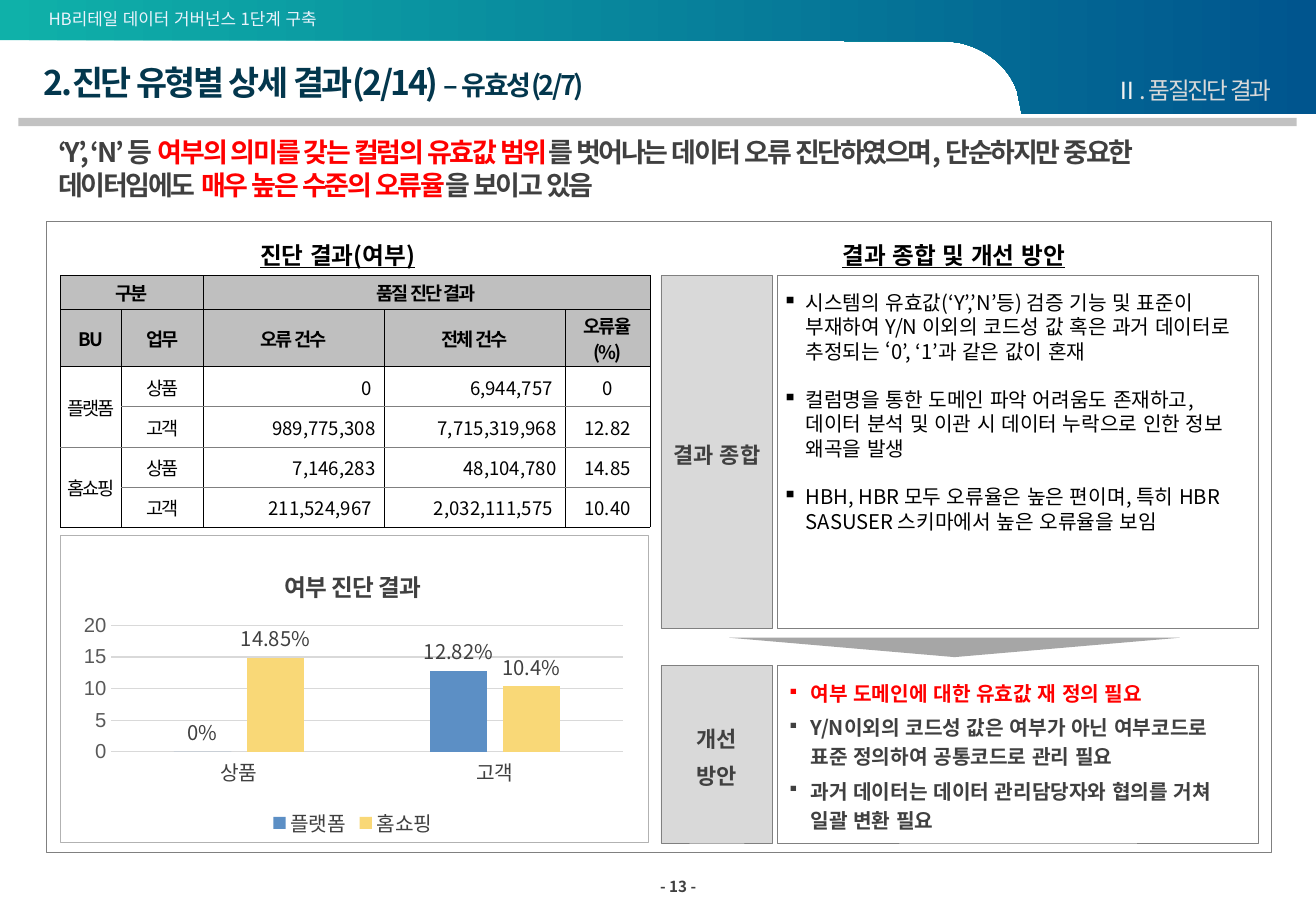
from dataclasses import dataclass

from lxml import etree
from pptx import Presentation
from pptx.chart.data import CategoryChartData
from pptx.dml.color import RGBColor
from pptx.enum.chart import XL_CHART_TYPE, XL_LABEL_POSITION, XL_LEGEND_POSITION, XL_TICK_MARK
from pptx.enum.shapes import MSO_SHAPE
from pptx.enum.text import MSO_ANCHOR, MSO_AUTO_SIZE, PP_ALIGN
from pptx.oxml.ns import qn
from pptx.util import Inches, Pt

RECTANGLE, TRIANGLE = MSO_SHAPE.RECTANGLE, MSO_SHAPE.ISOSCELES_TRIANGLE
LEFT, CENTER, RIGHT = PP_ALIGN.LEFT, PP_ALIGN.CENTER, PP_ALIGN.RIGHT
TOP, MIDDLE, BOTTOM = MSO_ANCHOR.TOP, MSO_ANCHOR.MIDDLE, MSO_ANCHOR.BOTTOM
NO_TICK = XL_TICK_MARK.NONE
TITLE_ONLY = 5


@dataclass(frozen=True)
class Theme:
    font: str = "Noto Sans CJK KR"
    number_font: str = "Arial"
    black: str = "000000"
    white: str = "FFFFFF"
    dark: str = "404040"
    axis: str = "595959"
    gray: str = "808080"
    arrow: str = "A6A6A6"
    panel: str = "B2B2B2"
    header: str = "BFBFBF"
    rule: str = "C2C2C2"
    label: str = "D9D9D9"
    pale: str = "F2F2F2"
    pale_blue: str = "EAF3FC"
    navy: str = "03374D"
    red: str = "FF0000"
    band: tuple = ("0FB1A9", "00558E")
    series: tuple = ("5C8FC5", "F9D877")
    title: int = 20
    lead: int = 16
    heading: int = 14
    side: int = 13
    body: int = 12
    cell: int = 11
    small: int = 10
    page: int = 9


THEME = Theme()


def rgb(color):
    return RGBColor.from_string(color)


def add_run(paragraph, text, size=THEME.body, color=THEME.black, bold=False, underline=False, spacing=0):
    run = paragraph.add_run()
    run.text = text
    style_font(run.font, size, color)
    run.font.bold, run.font.underline = bold, underline
    properties = run._r.get_or_add_rPr()
    properties.set("lang", "ko-KR")
    properties.set("spc", str(round(spacing * 100)))
    etree.SubElement(properties, qn("a:ea"), typeface=THEME.font)


def style_font(font, size, color, name=THEME.font):
    font.name, font.size, font.bold = name, Pt(size), False
    font.color.rgb = rgb(color)


class SlideBuilder:
    """Boxes are (left, top, width, height) in percent of the slide."""

    def __init__(self, presentation):
        self.width, self.height = presentation.slide_width, presentation.slide_height
        self.slide = presentation.slides.add_slide(presentation.slide_layouts[TITLE_ONLY])
        self.shapes = self.slide.shapes

    def place(self, left, top, width, height):
        return [round(share * side / 100) for share, side in
                ((left, self.width), (top, self.height), (width, self.width), (height, self.height))]

    def fill_text(self, frame, paragraphs, align=LEFT, anchor=TOP, insets=(0.1, 0.05), wrap=True,
                  line_spacing=None, gap=0, bullet_size=None, **style):
        """Each paragraph is a string or a list of (text, overrides)."""
        frame.auto_size, frame.word_wrap, frame.vertical_anchor = MSO_AUTO_SIZE.NONE, wrap, anchor
        frame.margin_left = frame.margin_right = Inches(insets[0])
        frame.margin_top = frame.margin_bottom = Inches(insets[1])
        for index, runs in enumerate(paragraphs):
            paragraph = frame.add_paragraph() if index else frame.paragraphs[0]
            paragraph.alignment = align
            if line_spacing:
                paragraph.line_spacing = line_spacing
            paragraph.space_before = Pt(gap if index else 0)
            if bullet_size:
                properties = paragraph._p.get_or_add_pPr()
                properties.set("marL", str(Inches(0.19)))
                properties.set("indent", str(-Inches(0.19)))
                etree.SubElement(properties, qn("a:buSzPct"), val=str(bullet_size * 1000))
                etree.SubElement(properties, qn("a:buChar"), char="▪")
            for text, overrides in [(runs, {})] if isinstance(runs, str) else runs:
                add_run(paragraph, text, **{**style, **overrides})

    def title(self, box, paragraphs, **style):
        title = self.shapes.title
        title.left, title.top, title.width, title.height = self.place(*box)
        self.fill_text(title.text_frame, paragraphs, **style)

    def text(self, box, paragraphs, **style):
        self.fill_text(self.shapes.add_textbox(*self.place(*box)).text_frame, paragraphs, **style)

    def shape(self, box, fill=None, line=None, line_width=0.5, kind=RECTANGLE, rotation=0, paragraphs=(), **style):
        shape = self.shapes.add_shape(kind, *self.place(*box))
        shape.shadow.inherit = False
        shape.rotation = rotation
        if fill:
            shape.fill.solid()
            shape.fill.fore_color.rgb = rgb(fill)
        else:
            shape.fill.background()
        if line:
            shape.line.color.rgb, shape.line.width = rgb(line), Pt(line_width)
        else:
            shape.line.fill.background()
        self.fill_text(shape.text_frame, paragraphs, **style)

    def band(self, points, colors):
        corners = [tuple(self.place(x, y, 0, 0)[:2]) for x, y in points]
        builder = self.shapes.build_freeform(*corners[0])
        builder.add_line_segments(corners[1:])
        shape = builder.convert_to_shape()
        shape.shadow.inherit = False
        shape.line.fill.background()
        shape.fill.gradient()
        shape.fill.gradient_angle = 0
        for stop, color, position in zip(shape.fill.gradient_stops, colors, (0, 1)):
            stop.color.rgb, stop.position = rgb(color), position

    def table(self, box, widths, heights, rows, merges, header_rows):
        table = self.shapes.add_table(len(rows), len(widths), *self.place(*box)).table
        table.first_row = table.horz_banding = False
        for column, width in zip(table.columns, widths):
            column.width = Inches(width)
        for row, height in zip(table.rows, heights):
            row.height = Inches(height)
        for first, last in merges:
            table.cell(*first).merge(table.cell(*last))
        for r, row in enumerate(rows):
            for c, text in enumerate(row):
                cell = table.cell(r, c)
                if cell.is_spanned:
                    continue
                header, number = r < header_rows, c >= 2
                if header:
                    cell.fill.solid()
                    cell.fill.fore_color.rgb = rgb(THEME.header)
                else:
                    cell.fill.background()
                cell.vertical_anchor = MIDDLE
                cell.margin_top = cell.margin_bottom = 0
                side = 0 if not header and c == 0 else 0.07 if number and r in (3, 4) else 0.1
                cell.margin_left = cell.margin_right = Inches(side)
                paragraph = cell.text_frame.paragraphs[0]
                paragraph.alignment = RIGHT if not header and c in (2, 3) else CENTER
                add_run(paragraph, text, size=THEME.cell, bold=header, spacing=0 if number and not header else -1.2)
                edges = {"L": 0, "R": 0, "T": r, "B": r + cell.span_height}
                for index, (edge, position) in enumerate(edges.items()):
                    inner = header_rows < position < len(rows)
                    line = etree.Element(qn(f"a:ln{edge}"), w=str(Pt(0.5)))
                    fill = etree.SubElement(line, qn("a:solidFill"))
                    etree.SubElement(fill, qn("a:srgbClr"), val=THEME.gray if inner else THEME.black)
                    cell._tc.get_or_add_tcPr().insert(index, line)

    def chart(self, box, title, categories, series, plot_box):
        data = CategoryChartData(number_format='General"%"')
        data.categories = categories
        for name, values in series:
            data.add_series(name, values)
        chart = self.shapes.add_chart(XL_CHART_TYPE.COLUMN_CLUSTERED, *self.place(*box), data).chart
        style_font(chart.font, THEME.small, THEME.black, THEME.number_font)
        add_run(chart.chart_title.text_frame.paragraphs[0], title, size=THEME.heading, color=THEME.dark,
                bold=True, spacing=-0.8)
        chart.chart_title.include_in_layout = False
        chart.has_legend = True
        chart.legend.position, chart.legend.include_in_layout = XL_LEGEND_POSITION.BOTTOM, False
        style_font(chart.legend.font, THEME.body, THEME.dark)
        plot = chart.plots[0]
        plot.gap_width, plot.overlap, plot.vary_by_categories = 219, -27, False
        for item, color in zip(plot.series, THEME.series):
            item.format.fill.solid()
            item.format.fill.fore_color.rgb = rgb(color)
            labels = item.data_labels
            labels.show_value, labels.position = True, XL_LABEL_POSITION.OUTSIDE_END
            labels.number_format, labels.number_format_is_linked = 'General"%"', False
            style_font(labels.font, THEME.body, THEME.dark)
        category, value = chart.category_axis, chart.value_axis
        category.major_tick_mark = value.major_tick_mark = NO_TICK
        style_font(category.tick_labels.font, THEME.body, THEME.dark)
        style_font(value.tick_labels.font, THEME.body, THEME.axis, THEME.number_font)
        value.tick_labels.number_format, value.tick_labels.number_format_is_linked = "General", False
        value.minimum_scale, value.maximum_scale, value.major_unit = 0, 20, 5
        value.format.line.fill.background()
        for line in (category.format.line, value.major_gridlines.format.line):
            line.color.rgb, line.width = rgb(THEME.label), Pt(0.75)
        # Fixed plot area
        area = chart._chartSpace.find(".//" + qn("c:plotArea"))
        for layout in area.findall(qn("c:layout")):
            area.remove(layout)
        layout = etree.Element(qn("c:layout"))
        manual = etree.SubElement(layout, qn("c:manualLayout"))
        settings = {"layoutTarget": "inner", "xMode": "edge", "yMode": "edge", **dict(zip("xywh", plot_box))}
        for name, setting in settings.items():
            etree.SubElement(manual, qn(f"c:{name}"), val=str(setting))
        area.insert(0, layout)


def bezier(points, steps=16):
    for step in range(steps + 1):
        t = step / steps
        weights = ((1 - t) ** 3, 3 * t * (1 - t) ** 2, 3 * t * t * (1 - t), t ** 3)
        yield tuple(sum(w * point[axis] for w, point in zip(weights, points)) for axis in (0, 1))


def main():
    presentation = Presentation()
    presentation.slide_width, presentation.slide_height = Inches(10.83), Inches(7.5)
    page = SlideBuilder(presentation)
    red, dark = {"color": THEME.red}, {"color": THEME.dark}

    # Header band, title and page number
    curve = bezier([(77.29, 10), (76.64, 7.33), (74.98, 5.33), (72.85, 4.67)])
    page.band([(0, 0), (100, 0), (100, 12.53), (77.65, 12.53), *curve, (71.93, 4.53), (31.95, 4.4), (0, 4.4)],
              THEME.band)
    page.shape((1.39, 12.93, 97.14, 0.93), fill=THEME.rule)
    page.text((3.69, 0.93, 29.73, 2.27), ["HB리테일 데이터 거버넌스 1단계 구축"], anchor=MIDDLE, insets=(0, 0),
              size=THEME.small, color=THEME.pale_blue)
    page.title((3.32, 7.33, 86.24, 4), [[("2.진단 유형별 상세 결과(2/14) ", {}), ("– 유효성(2/7)", {"size": THEME.lead})]],
               anchor=MIDDLE, insets=(0, 0), line_spacing=0.9, size=THEME.title, color=THEME.navy, bold=True, spacing=-1.5)
    page.text((74.52, 8.27, 22.07, 3.2), [[("Ⅱ", {"color": THEME.pale}), (". 품질진단 결과", {})]], align=RIGHT,
              anchor=BOTTOM, insets=(0, 0), size=THEME.heading, color=THEME.label, spacing=-1.5)
    page.text((48.75, 95.73, 4.89, 3.07), ["- 13 -"], align=RIGHT, anchor=MIDDLE, insets=(0.08, 0.04), wrap=False,
              size=THEME.page, bold=True, **dark)

    # Key message
    page.text((3.51, 14.27, 93.07, 8.4), [[
        ("‘Y’, ‘N’ 등 ", {}), ("여부의 의미를 갖는 컬럼의 유효값 범위", red),
        ("를 벗어나는 데이터 오류 진단하였으며, 단순하지만 중요한 데이터임에도 ", {}),
        ("매우 높은 수준의 오류율", red), ("을 보이고 있음", {})]], size=THEME.lead, bold=True, spacing=-1.3, **dark)

    # Frame and column headings
    page.shape((3.51, 24.27, 93.07, 69.33), line=THEME.gray)
    for left, heading in ((14.77, "진단 결과(여부)"), (61.59, "결과 종합 및 개선 방안")):
        page.text((left, 25.73, 21.79, 4.53), [heading], align=CENTER, size=THEME.heading, bold=True, underline=True)

    # Diagnosis table
    page.table((4.62, 30.27, 44.69, 27.6), [0.5, 0.67, 1.49, 1.49, 0.7], [0.28, 0.47] + [0.33] * 4, [
        ["구분", "", "품질 진단 결과", "", ""],
        ["BU", "업무", "오류 건수", "전체 건수", "오류율(%)"],
        ["플랫폼", "상품", "0", "6,944,757", "0"],
        ["", "고객", "989,775,308", "7,715,319,968", "12.82"],
        ["홈쇼핑", "상품", "7,146,283", "48,104,780", "14.85"],
        ["", "고객", "211,524,967", "2,032,111,575", "10.40"],
    ], [((0, 0), (0, 1)), ((0, 2), (0, 4)), ((2, 0), (3, 0)), ((4, 0), (5, 0))], header_rows=2)

    # Error rate chart
    page.shape((4.62, 58.8, 44.69, 33.73), fill=THEME.white, line=THEME.panel, line_width=0.75)
    page.chart((5.45, 60.27, 42.75, 32.27), "여부 진단 결과", ["상품", "고객"],
               [("플랫폼", (0, 12.82)), ("홈쇼핑", (14.85, 10.4))], plot_box=(0.07, 0.26, 0.91, 0.43))

    # Summary and improvement panels
    summary = ["시스템의 유효값(‘Y’,’N’등) 검증 기능 및 표준이 부재하여 Y/N 이외의 코드성 값 혹은 과거 데이터로 추정되는 ‘0’, ‘1’과 같은 값이 혼재",
               "컬럼명을 통한 도메인 파악 어려움도 존재하고, 데이터 분석 및 이관 시 데이터 누락으로 인한 정보 왜곡을 발생",
               "HBH, HBR 모두 오류율은 높은 편이며, 특히 HBR SASUSER 스키마에서 높은 오류율을 보임"]
    improvement = [[("여부 도메인에 대한 유효값 재 정의 필요", red)],
                   "Y/N이외의 코드성 값은 여부가 아닌 여부코드로 표준 정의하여 공통코드로 관리 필요",
                   "과거 데이터는 데이터 관리담당자와 협의를 거쳐 일괄 변환 필요"]
    panels = (
        (30.27, 38.75, ["결과 종합"], summary, dict(insets=(0.04, 0.12), gap=14.4, bullet_size=100)),
        (73.07, 19.47, ["개선", "방안"], improvement, dict(
            anchor=MIDDLE, insets=(0.08, 0.04), line_spacing=1.2, gap=3, bullet_size=80, bold=True, **dark)))
    for top, height, label, details, style in panels:
        page.shape((50.23, top, 8.5, height), fill=THEME.label, line=THEME.gray, paragraphs=label, align=CENTER,
                   anchor=MIDDLE, insets=(0.08, 0.04), line_spacing=1.2, gap=3, size=THEME.side, bold=True, **dark)
        page.shape((59.1, top, 36.57, height), fill=THEME.white, line=THEME.gray, paragraphs=details, **style)
    page.shape((55.4, 70, 34.26, 2.13), fill=THEME.arrow, kind=TRIANGLE, rotation=180)

    presentation.save("out.pptx")


if __name__ == "__main__":
    main()
